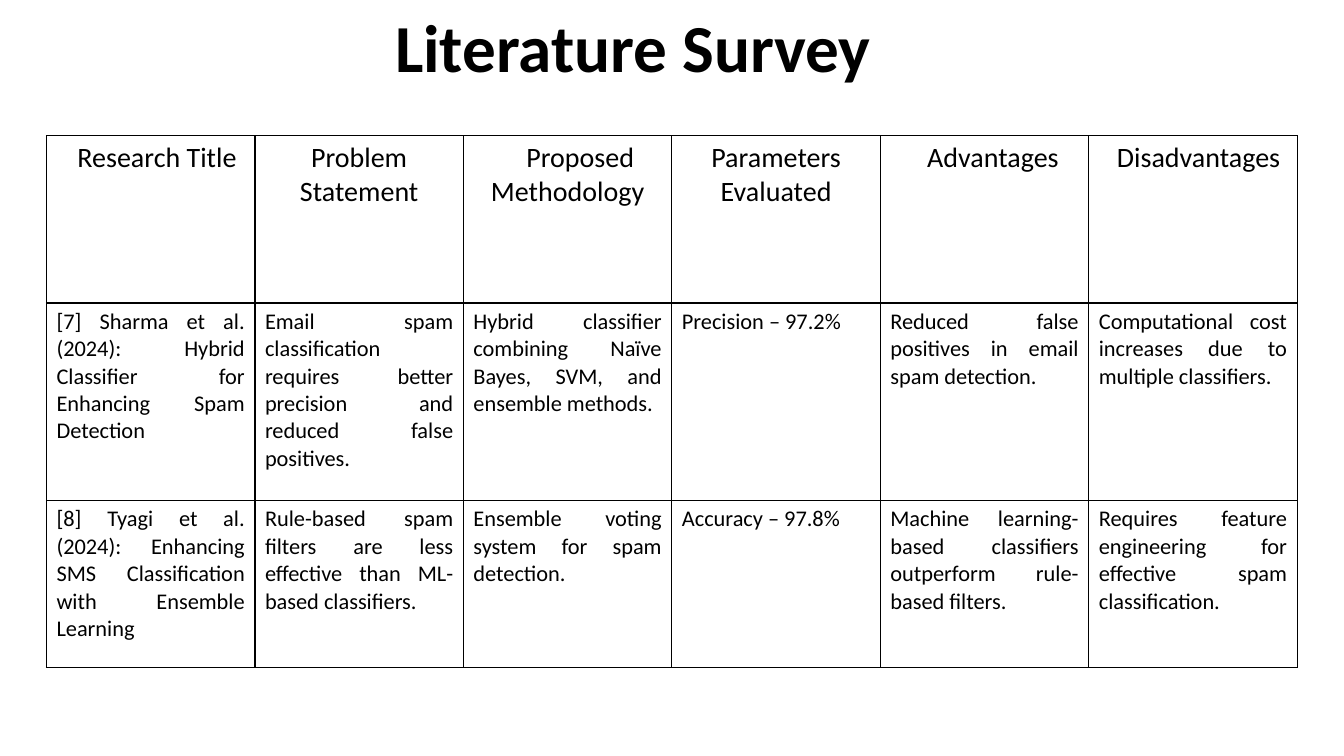
from dataclasses import dataclass

from lxml.etree import SubElement
from pptx import Presentation
from pptx.dml.color import RGBColor
from pptx.enum.text import MSO_ANCHOR as Anchor, PP_ALIGN as Align
from pptx.oxml.ns import qn
from pptx.util import Pt


@dataclass(frozen=True)
class Theme:
    font: str = "Calibri"
    ink: RGBColor = RGBColor(0, 0, 0)
    paper: RGBColor = RGBColor(255, 255, 255)
    title_size: int = 48
    header_size: int = 20
    body_size: int = 16
    border_width: int = 1


THEME = Theme()
TITLE_BOX = (275, 0, 480, 65.5)
TABLE_BOX = (33.2, 97, 893.5, 380)
ROW_HEIGHTS = (119.5, 141, 119.5)

HEADERS = [
    (["Research Title"], 9),
    (["Problem", "Statement"], 0),
    (["Proposed Methodology"], 18),
    (["Parameters", "Evaluated"], 0),
    (["Advantages"], 12),
    (["Disadvantages"], 8),
]
STUDIES = [
    [
        "[7] Sharma et al. (2024): Hybrid Classifier for Enhancing Spam Detection",
        "Email spam classification requires better precision and reduced false positives.",
        "Hybrid classifier combining Naïve Bayes, SVM, and ensemble methods.",
        "Precision – 97.2%",
        "Reduced false positives in email spam detection.",
        "Computational cost increases due to multiple classifiers.",
    ],
    [
        "[8] Tyagi et al. (2024): Enhancing SMS Classification with Ensemble Learning",
        "Rule-based spam filters are less effective than ML-based classifiers.",
        "Ensemble voting system for spam detection.",
        "Accuracy – 97.8%",
        "Machine learning-based classifiers outperform rule-based filters.",
        "Requires feature engineering for effective spam classification.",
    ],
]


def write_paragraphs(frame, lines, size, align, bold=False, indent=0):
    for index, line in enumerate(lines):
        paragraph = frame.add_paragraph() if index else frame.paragraphs[0]
        paragraph.alignment = align
        if indent:
            properties = paragraph._p.get_or_add_pPr()
            properties.set("marL", "0")
            properties.set("indent", str(Pt(indent)))
        run = paragraph.add_run()
        run.text = line
        run.font.name = THEME.font
        run.font.size = Pt(size)
        run.font.bold = bold
        run.font.color.rgb = THEME.ink


def format_cell(cell):
    properties = cell._tc.get_or_add_tcPr()
    for side in ("a:lnL", "a:lnR", "a:lnT", "a:lnB"):
        line = SubElement(properties, qn(side), w=str(Pt(THEME.border_width)))
        fill = SubElement(line, qn("a:solidFill"))
        SubElement(fill, qn("a:srgbClr"), val=str(THEME.ink))
    cell.fill.background()


def add_title(slide, box):
    title = slide.shapes.title
    title.left, title.top, title.width, title.height = map(Pt, box)
    frame = title.text_frame
    frame.word_wrap = True
    frame.vertical_anchor = Anchor.TOP
    write_paragraphs(frame, ["Literature Survey"], THEME.title_size, Align.LEFT, bold=True)


def add_survey_table(slide, box):
    row_count, column_count = len(STUDIES) + 1, len(HEADERS)
    table = slide.shapes.add_table(row_count, column_count, *map(Pt, box)).table
    table.first_row = table.horz_banding = False
    for column in table.columns:
        column.width = Pt(box[2] / column_count)
    for row, height in zip(table.rows, ROW_HEIGHTS):
        row.height = Pt(height)
    for cell in table.iter_cells():
        format_cell(cell)
    for index, (lines, indent) in enumerate(HEADERS):
        frame = table.cell(0, index).text_frame
        write_paragraphs(frame, lines, THEME.header_size, Align.CENTER, indent=indent)
    for row_index, study in enumerate(STUDIES, 1):
        for index, entry in enumerate(study):
            frame = table.cell(row_index, index).text_frame
            write_paragraphs(frame, [entry], THEME.body_size, Align.JUSTIFY)


def main():
    presentation = Presentation()
    presentation.slide_width, presentation.slide_height = Pt(960), Pt(540)
    slide = presentation.slides.add_slide(presentation.slide_layouts[5])
    slide.background.fill.solid()
    slide.background.fill.fore_color.rgb = THEME.paper
    add_title(slide, TITLE_BOX)
    add_survey_table(slide, TABLE_BOX)
    presentation.save("out.pptx")


if __name__ == "__main__":
    main()
